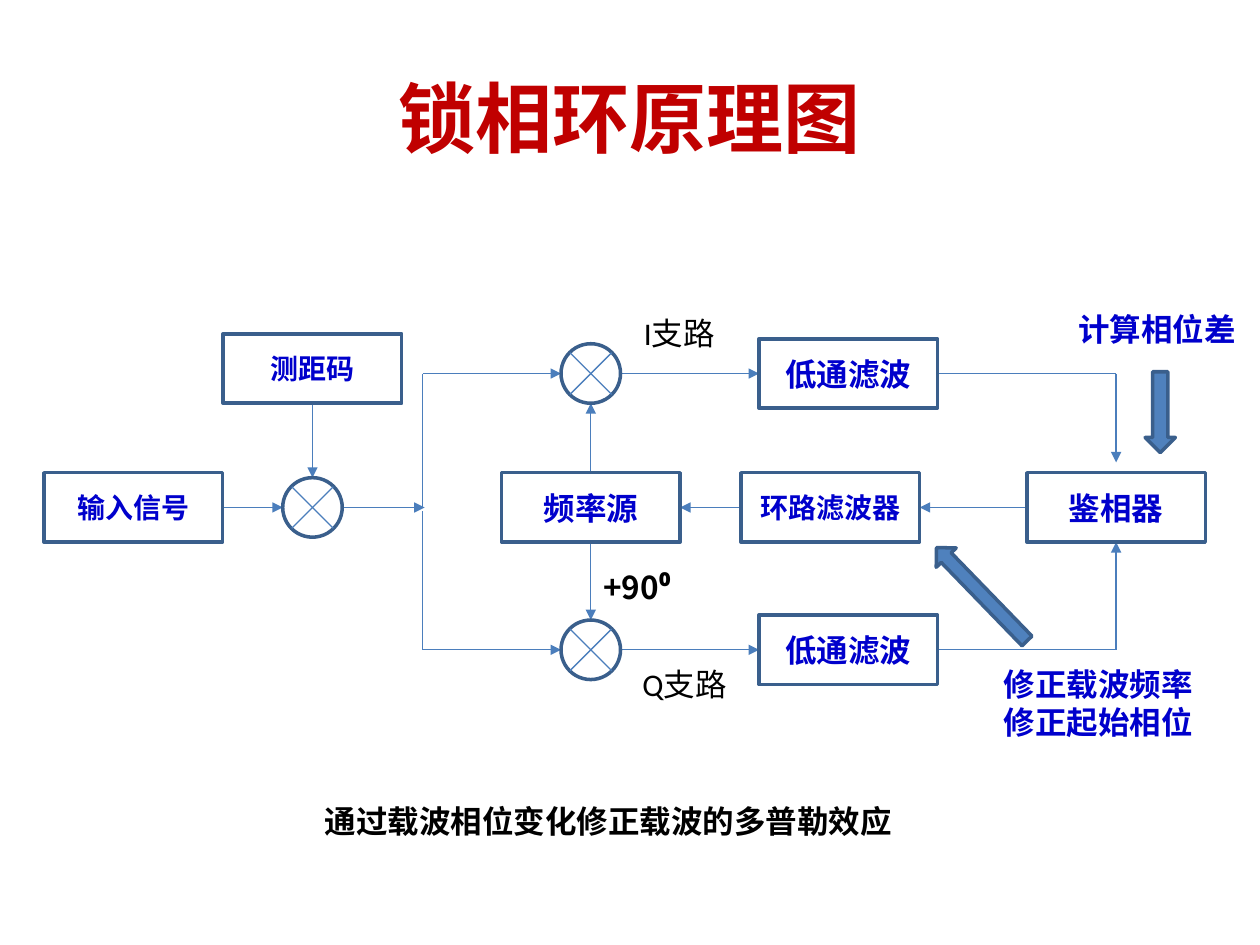
from itertools import pairwise
from lxml import etree
from pptx import Presentation
from pptx.dml.color import RGBColor
from pptx.enum import shapes, text
from pptx.oxml.ns import qn
from pptx.util import Cm, Pt

COLORS = {"title": "C00000", "label": "0000CC", "black": "000000",
          "wire": "4B7EBC", "outline": "3A5F8C", "arrow": "4F81BD", "white": "FFFFFF"}
CJK = "Noto Sans CJK SC"
BOX_W, BOX_H, MIXER = 3.6, 1.4, 1.2
TOP, MIDDLE, BOTTOM = 7.53, 10.23, 13.1
INPUT_X, CODE_X, SPLIT_X, SOURCE_X = 2.69, 6.3, 8.52, 11.91
LOOP_X, FILTER_X, DETECTOR_X = 16.74, 17.1, 22.5


def rgb(name):
    return RGBColor.from_string(COLORS[name])


def write(frame, content, size=18, color="label", bold=True, font=CJK,
          align=text.PP_ALIGN.LEFT, anchor=text.MSO_ANCHOR.TOP, wrap=True):
    frame.word_wrap = wrap
    frame.vertical_anchor = anchor
    for index, line in enumerate(content.split("\n")):
        paragraph = frame.add_paragraph() if index else frame.paragraphs[0]
        paragraph.alignment = align
        run = paragraph.add_run()
        run.text = line
        run.font.size = Pt(size)
        run.font.bold = bold
        run.font.name = font
        run.font.color.rgb = rgb(color)
        east_asian = etree.SubElement(run.font._element, qn("a:ea"))
        east_asian.set("typeface", CJK)


def add_outlined(slide, kind, cx, cy, width, height, fill=None):
    outlined = slide.shapes.add_shape(kind, Cm(cx - width / 2), Cm(cy - height / 2),
                                      Cm(width), Cm(height))
    outlined.shadow.inherit = False
    outlined.line.color.rgb = rgb("outline")
    outlined.line.width = Pt(2)
    if fill:
        outlined.fill.solid()
        outlined.fill.fore_color.rgb = rgb(fill)
    else:
        outlined.fill.background()
    return outlined


def add_block(slide, name, cx, cy, size=18):
    block = add_outlined(slide, shapes.MSO_SHAPE.RECTANGLE, cx, cy, BOX_W, BOX_H)
    write(block.text_frame, name, size=size, align=text.PP_ALIGN.CENTER,
          anchor=text.MSO_ANCHOR.MIDDLE)


def add_wire(slide, *points, arrow=True):
    for start, end in pairwise(points):
        wire = slide.shapes.add_connector(shapes.MSO_CONNECTOR.STRAIGHT,
                                          *map(Cm, start + end))
        wire.line.color.rgb = rgb("wire")
        wire.line.width = Pt(0.75)
        if arrow and end == points[-1]:
            etree.SubElement(wire.line._get_or_add_ln(), qn("a:tailEnd"), type="triangle")
        etree.SubElement(wire._element.spPr, qn("a:effectLst"))


def add_mixer(slide, cx, cy):
    add_outlined(slide, shapes.MSO_SHAPE.OVAL, cx, cy, MIXER, MIXER, "white")
    reach = 0.42
    for slope in (1, -1):
        add_wire(slide, (cx - reach, cy - slope * reach),
                 (cx + reach, cy + slope * reach), arrow=False)


def add_label(slide, content, left, top, width, height=1.03, **style):
    label = slide.shapes.add_textbox(Cm(left), Cm(top), Cm(width), Cm(height))
    write(label.text_frame, content, **style)


def add_pointer(slide, cx, cy, width, height, rotation=0):
    pointer = add_outlined(slide, shapes.MSO_SHAPE.DOWN_ARROW, cx, cy, width, height, "arrow")
    pointer.rotation = rotation


def add_title(slide, content):
    title = slide.shapes.title
    title.left, title.top, title.width, title.height = map(Cm, (1.27, 0.76, 22.86, 3.18))
    write(title.text_frame, content, size=44, color="title",
          align=text.PP_ALIGN.CENTER, anchor=text.MSO_ANCHOR.MIDDLE)


def add_wires(slide):
    half_w, half_h, radius = BOX_W / 2, BOX_H / 2, MIXER / 2
    add_wire(slide, (INPUT_X + half_w, MIDDLE), (CODE_X - radius, MIDDLE))
    add_wire(slide, (CODE_X, 8.13), (CODE_X, MIDDLE - radius))
    add_wire(slide, (CODE_X + radius, MIDDLE), (SPLIT_X + 0.04, MIDDLE))
    for row, start, detector_end in ((TOP, MIDDLE, 9.32),
                                     (BOTTOM, MIDDLE + 0.08, MIDDLE + half_h)):
        side = 1 if row > MIDDLE else -1
        add_wire(slide, (SPLIT_X, start), (SPLIT_X, row), (SOURCE_X - radius, row))
        add_wire(slide, (SOURCE_X + radius, row), (FILTER_X - half_w, row))
        add_wire(slide, (FILTER_X + half_w, row), (DETECTOR_X, row),
                 (DETECTOR_X, detector_end))
        add_wire(slide, (SOURCE_X, MIDDLE + side * half_h), (SOURCE_X, row - side * radius))
    for right, left in ((DETECTOR_X, LOOP_X), (LOOP_X, SOURCE_X)):
        add_wire(slide, (right - half_w, MIDDLE), (left + half_w, MIDDLE))


def main():
    deck = Presentation()
    deck.slide_width, deck.slide_height = Cm(25.4), Cm(19.05)
    slide = deck.slides.add_slide(deck.slide_layouts[5])
    add_title(slide, "锁相环原理图")
    add_wires(slide)
    for mixer in ((CODE_X, MIDDLE), (SOURCE_X, TOP), (SOURCE_X, BOTTOM)):
        add_mixer(slide, *mixer)
    for block in (("输入信号", INPUT_X, MIDDLE, 16), ("测距码", CODE_X, 7.43, 16),
                  ("频率源", SOURCE_X, MIDDLE), ("环路滤波器", LOOP_X, MIDDLE, 16),
                  ("鉴相器", DETECTOR_X, MIDDLE), ("低通滤波", FILTER_X, TOP),
                  ("低通滤波", FILTER_X, BOTTOM)):
        add_block(slide, *block)
    add_label(slide, "+90⁰", 11.91, 11.33, 2.11, color="black")
    branch_style = dict(color="black", bold=False, font="Calibri")
    add_label(slide, "I支路", 12.73, 6.2, 1.96, **branch_style)
    add_label(slide, "Q支路", 12.7, 13.28, 2.24, **branch_style)
    add_pointer(slide, 23.39, 8.31, 0.61, 1.63)
    add_label(slide, "计算相位差", 21.49, 6.12, 3.71, wrap=False)
    add_pointer(slide, 19.79, 11.98, 0.56, 2.62, rotation=135.9)
    add_label(slide, "修正载波频率\n修正起始相位", 19.99, 13.28, 4.37, 1.8, wrap=False)
    add_label(slide, "通过载波相位变化修正载波的多普勒效应", 6.3, 16.05, 12.07,
              color="black", wrap=False)
    deck.save("out.pptx")


main()
